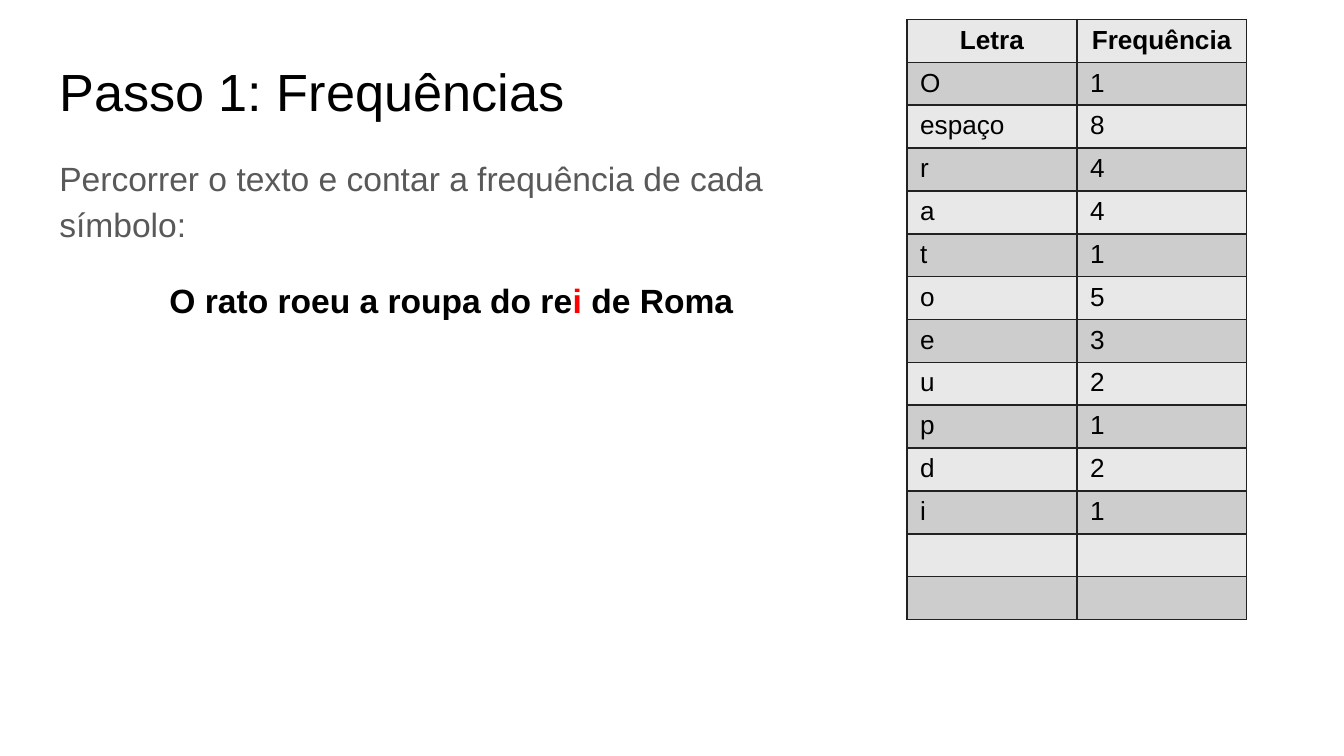
from pptx import Presentation
from pptx.dml.color import RGBColor
from pptx.enum.text import MSO_ANCHOR, MSO_AUTO_SIZE, PP_ALIGN
from pptx.oxml import parse_xml
from pptx.oxml.ns import nsdecls
from pptx.util import Cm, Pt

CENTER, LEFT = PP_ALIGN.CENTER, PP_ALIGN.LEFT
TOP, NO_FIT = MSO_ANCHOR.TOP, MSO_AUTO_SIZE.NONE

# Content
TITLE = "Passo 1: Frequências"
INSTRUCTION = "Percorrer o texto e contar a frequência de cada símbolo:"
PHRASE = [("O rato roeu a roupa do re", "000000"), ("i", "FF0000"),
          (" de Roma", "000000")]
FREQUENCIES = [
    ("Letra", "Frequência"), ("O", "1"), ("espaço", "8"), ("r", "4"),
    ("a", "4"), ("t", "1"), ("o", "5"), ("e", "3"), ("u", "2"),
    ("p", "1"), ("d", "2"), ("i", "1"), ("", ""), ("", ""),
]

# Table style
BAND_FILLS = ("E8E8E8", "CDCDCD")
BORDER_COLOR = "212121"
COLUMN_WIDTH, ROW_HEIGHT = 3.21, 0.81
CELL_SIZE = 14


def color(value):
    return RGBColor.from_string(value)


def style_font(font, size, value, bold=False):
    font.name = "Arial"
    font.size = Pt(size)
    font.bold = bold
    font.color.rgb = color(value)


def place(shape, left, top, width, height):
    shape.left, shape.top = Cm(left), Cm(top)
    shape.width, shape.height = Cm(width), Cm(height)
    frame = shape.text_frame
    frame.margin_left = frame.margin_right = Cm(0.25)
    frame.margin_top = frame.margin_bottom = Cm(0.25)
    frame.vertical_anchor = TOP
    frame.auto_size = NO_FIT
    frame.word_wrap = True
    return frame


def remove_bullet(paragraph):
    properties = paragraph._p.get_or_add_pPr()
    properties.set("marL", "0")
    properties.set("indent", "0")
    properties.append(parse_xml(f"<a:buNone {nsdecls('a')}/>"))


def add_borders(cell):
    properties = cell._tc.get_or_add_tcPr()
    for position, side in enumerate(("lnL", "lnR", "lnT", "lnB")):
        properties.insert(position, parse_xml(
            f'<a:{side} {nsdecls("a")} w="{Pt(1)}"><a:solidFill>'
            f'<a:srgbClr val="{BORDER_COLOR}"/></a:solidFill></a:{side}>'))


presentation = Presentation()
presentation.slide_width, presentation.slide_height = Cm(25.4), Cm(14.29)
slide = presentation.slides.add_slide(presentation.slide_layouts[1])

# Title
title_frame = place(slide.shapes.title, 0.87, 0.87, 23.67, 1.6)
title_frame.text = TITLE
title = title_frame.paragraphs[0]
title.alignment = LEFT
style_font(title.font, 28, "000000")

# Instruction and sample phrase
body_frame = place(slide.placeholders[1], 0.87, 2.62, 15.32, 11.66)
instruction, phrase = body_frame.paragraphs[0], body_frame.add_paragraph()
instruction.text = INSTRUCTION
for paragraph, space, alignment, value, bold in (
        (instruction, 0, LEFT, "595959", False),
        (phrase, 16, CENTER, "000000", True)):
    remove_bullet(paragraph)
    paragraph.alignment = alignment
    paragraph.line_spacing = 1.15
    paragraph.space_before = Pt(space)
    style_font(paragraph.font, 18, value, bold)
for text, value in PHRASE:
    run = phrase.add_run()
    run.text = text
    run.font.color.rgb = color(value)

# Frequency table
row_count, column_count = len(FREQUENCIES), len(FREQUENCIES[0])
table = slide.shapes.add_table(
    row_count, column_count, Cm(17.14), Cm(0.37),
    Cm(COLUMN_WIDTH * column_count), Cm(ROW_HEIGHT * row_count)).table
for column in table.columns:
    column.width = Cm(COLUMN_WIDTH)
for row_index, values in enumerate(FREQUENCIES):
    table.rows[row_index].height = Cm(ROW_HEIGHT)
    is_header = row_index == 0
    for column_index, text in enumerate(values):
        cell = table.cell(row_index, column_index)
        cell.text = text
        cell.margin_left = cell.margin_right = Cm(0.25)
        cell.margin_top = cell.margin_bottom = Cm(0.11)
        cell.fill.solid()
        cell.fill.fore_color.rgb = color(BAND_FILLS[row_index % 2])
        add_borders(cell)
        paragraph = cell.text_frame.paragraphs[0]
        paragraph.alignment = CENTER if is_header else LEFT
        style_font(paragraph.font, CELL_SIZE, "000000", is_header)
        if not text:  # keeps empty rows as low as the others
            paragraph._p.append(parse_xml(
                f'<a:endParaRPr {nsdecls("a")} sz="{CELL_SIZE * 100}"/>'))

presentation.save("out.pptx")
